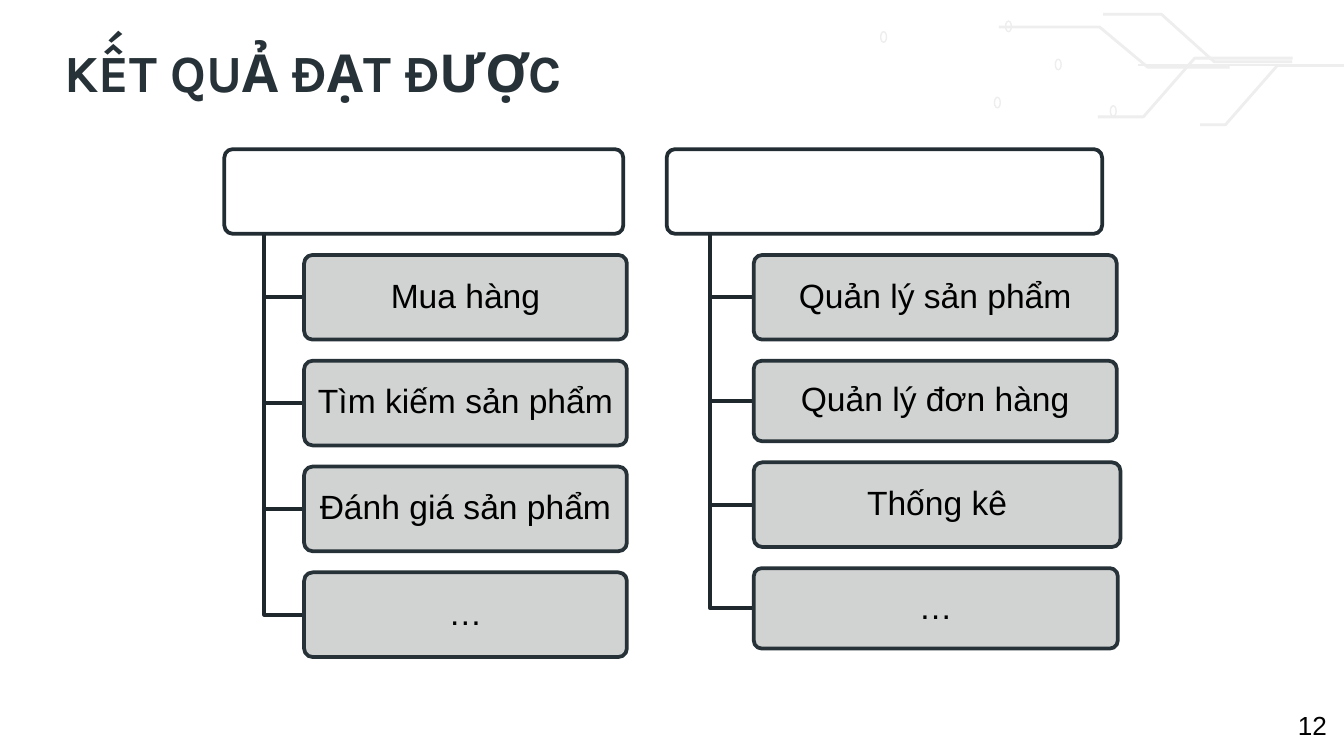
"""Build the results slide: two branching lists beside a circuit ornament."""
from typing import NamedTuple

from lxml.etree import SubElement
from pptx import Presentation
from pptx.dml.color import RGBColor
from pptx.enum.shapes import MSO_CONNECTOR, MSO_SHAPE
from pptx.enum.text import MSO_ANCHOR, PP_ALIGN
from pptx.oxml.ns import qn
from pptx.util import Cm, Pt

COLORS = {
    "title": "263238",
    "text": "000000",
    "circuit": "EEEEEE",
    "head": "FFFFFF",
    "head_line": "222D33",
    "branch": "1E282D",
    "item": "CDCECE",
    "item_line": "263238",
}
TITLE_FONT = {"name": "Karla", "size": Pt(28), "bold": True}
ITEM_FONT = {"name": "Arial", "size": Pt(18)}
NUMBER_FONT = {"name": "Arial", "size": Pt(14)}
ITEM_FRAME = {
    "word_wrap": True,
    "vertical_anchor": MSO_ANCHOR.MIDDLE,
    "margin_left": Cm(0.15),
    "margin_right": Cm(0.15),
    "margin_top": Cm(0.1),
    "margin_bottom": Cm(0.1),
}
TITLE_FRAME = {
    "word_wrap": True,
    "vertical_anchor": MSO_ANCHOR.TOP,
    "margin_left": Cm(0.25),
    "margin_right": Cm(0.25),
    "margin_top": Cm(0.25),
    "margin_bottom": Cm(0.25),
}
HEAD_TOP, HEAD_HEIGHT, GAP = 2.82, 1.6, 0.4
RING_WIDTH, RING_HEIGHT = 0.11, 0.2


class Item(NamedTuple):
    text: str
    width: float
    height: float


class Branch(NamedTuple):
    left: float
    width: float
    items: list[Item]


BRANCHES = [
    Branch(4.24, 7.54, [
        Item("Mua hàng", 6.1, 1.6),
        Item("Tìm kiếm sản phẩm", 6.1, 1.6),
        Item("Đánh giá sản phẩm", 6.1, 1.6),
        Item("…", 6.1, 1.6),
    ]),
    Branch(12.6, 8.23, [
        Item("Quản lý sản phẩm", 6.86, 1.6),
        Item("Quản lý đơn hàng", 6.86, 1.52),
        Item("Thống kê", 6.93, 1.6),
        Item("…", 6.88, 1.52),
    ]),
]
TRACES = [
    [(20.75, 2.21), (21.61, 2.21), (22.58, 1.1), (24.43, 1.1)],
    [(22.68, 2.36), (23.16, 2.36), (24.14, 1.24), (25.4, 1.24)],
    [(18.88, 0.51), (20.78, 0.51), (21.69, 1.27), (23.24, 1.27)],
    [(20.85, 0.27), (21.95, 0.27), (22.95, 1.17), (24.42, 1.17)],
]
BUS = (21.51, 1.23, 24.45, 1.23)
RINGS = [(18.85, 1.94), (21.04, 2.1), (20.0, 1.22), (16.7, 0.7), (19.06, 0.5)]


def apply(target, values: dict) -> None:
    """Set every attribute named in a dict of format values."""
    for name, value in values.items():
        setattr(target, name, value)


def write(frame, text: str, font: dict, color: str, align=PP_ALIGN.LEFT):
    """Fill a text frame with one formatted span."""
    para = frame.paragraphs[0]
    para.alignment = align
    span = para.add_run()
    span.text = text
    apply(span.font, font)
    span.font.color.rgb = RGBColor.from_string(COLORS[color])
    return para


def outline(shape, color: str, width: float) -> None:
    """Give a shape or connector a plain line."""
    shape.line.color.rgb = RGBColor.from_string(COLORS[color])
    shape.line.width = Pt(width)


def add_polyline(page, points: list[tuple[float, float]], color: str, width: float) -> None:
    """Draw an open, unfilled line through points in centimetres."""
    start, *rest = [(Cm(x), Cm(y)) for x, y in points]
    builder = page.shapes.build_freeform(*start)
    builder.add_line_segments(rest, close=False)
    line = builder.convert_to_shape()
    line.shadow.inherit = False
    line.fill.background()
    outline(line, color, width)


def add_box(page, left: float, top: float, width: float, height: float, fill: str, line: str):
    """Draw a rounded box with a fill and a line."""
    box = page.shapes.add_shape(
        MSO_SHAPE.ROUNDED_RECTANGLE, Cm(left), Cm(top), Cm(width), Cm(height))
    box.adjustments[0] = 0.1
    box.shadow.inherit = False
    box.fill.solid()
    box.fill.fore_color.rgb = RGBColor.from_string(COLORS[fill])
    outline(box, line, 2)
    return box


def add_branch(page, branch: Branch) -> None:
    """Draw a head box with its items stacked and joined below it."""
    add_box(page, branch.left, HEAD_TOP, branch.width, HEAD_HEIGHT, "head", "head_line")
    trunk = branch.left + branch.width * 0.1
    left = branch.left + branch.width * 0.2
    head_bottom = HEAD_TOP + HEAD_HEIGHT
    top = head_bottom + GAP
    for item in branch.items:
        middle = top + item.height / 2
        add_polyline(page, [(trunk, head_bottom), (trunk, middle), (left, middle)], "branch", 2)
        box = add_box(page, left, top, item.width, item.height, "item", "item_line")
        color = box.fill._xPr.find(qn("a:solidFill"))[0]
        SubElement(color, qn("a:alpha"), val="90000")
        apply(box.text_frame, ITEM_FRAME)
        para = write(box.text_frame, item.text, ITEM_FONT, "text", PP_ALIGN.CENTER)
        para.line_spacing = 0.9
        top += item.height + GAP


def add_circuit(page) -> None:
    """Draw the pale circuit ornament in the upper corner."""
    for trace in TRACES:
        add_polyline(page, trace, "circuit", 1.5)
    bus = page.shapes.add_connector(MSO_CONNECTOR.STRAIGHT, *map(Cm, BUS))
    outline(bus, "circuit", 1.5)
    SubElement(bus._element.spPr, qn("a:effectLst"))
    for x, y in RINGS:
        ring = page.shapes.add_shape(
            MSO_SHAPE.OVAL, Cm(x - RING_WIDTH / 2), Cm(y - RING_HEIGHT / 2),
            Cm(RING_WIDTH), Cm(RING_HEIGHT))
        ring.shadow.inherit = False
        ring.fill.background()
        outline(ring, "circuit", 0.75)


def main() -> None:
    """Build and save the deck."""
    deck = Presentation()
    apply(deck, {"slide_width": Cm(25.4), "slide_height": Cm(14.29)})
    page = deck.slides.add_slide(deck.slide_layouts[5])
    title = page.shapes.title
    apply(title, {"left": Cm(0.97), "top": Cm(0.51), "width": Cm(21.41), "height": Cm(1.6)})
    apply(title.text_frame, TITLE_FRAME)
    write(title.text_frame, "KẾT QUẢ ĐẠT ĐƯỢC", TITLE_FONT, "title")
    add_circuit(page)
    number = page.shapes.add_textbox(Cm(24.28), Cm(13.28), Cm(1.12), Cm(1))
    write(number.text_frame, "12", NUMBER_FONT, "text")
    for branch in BRANCHES:
        add_branch(page, branch)
    deck.save("out.pptx")


if __name__ == "__main__":
    main()
